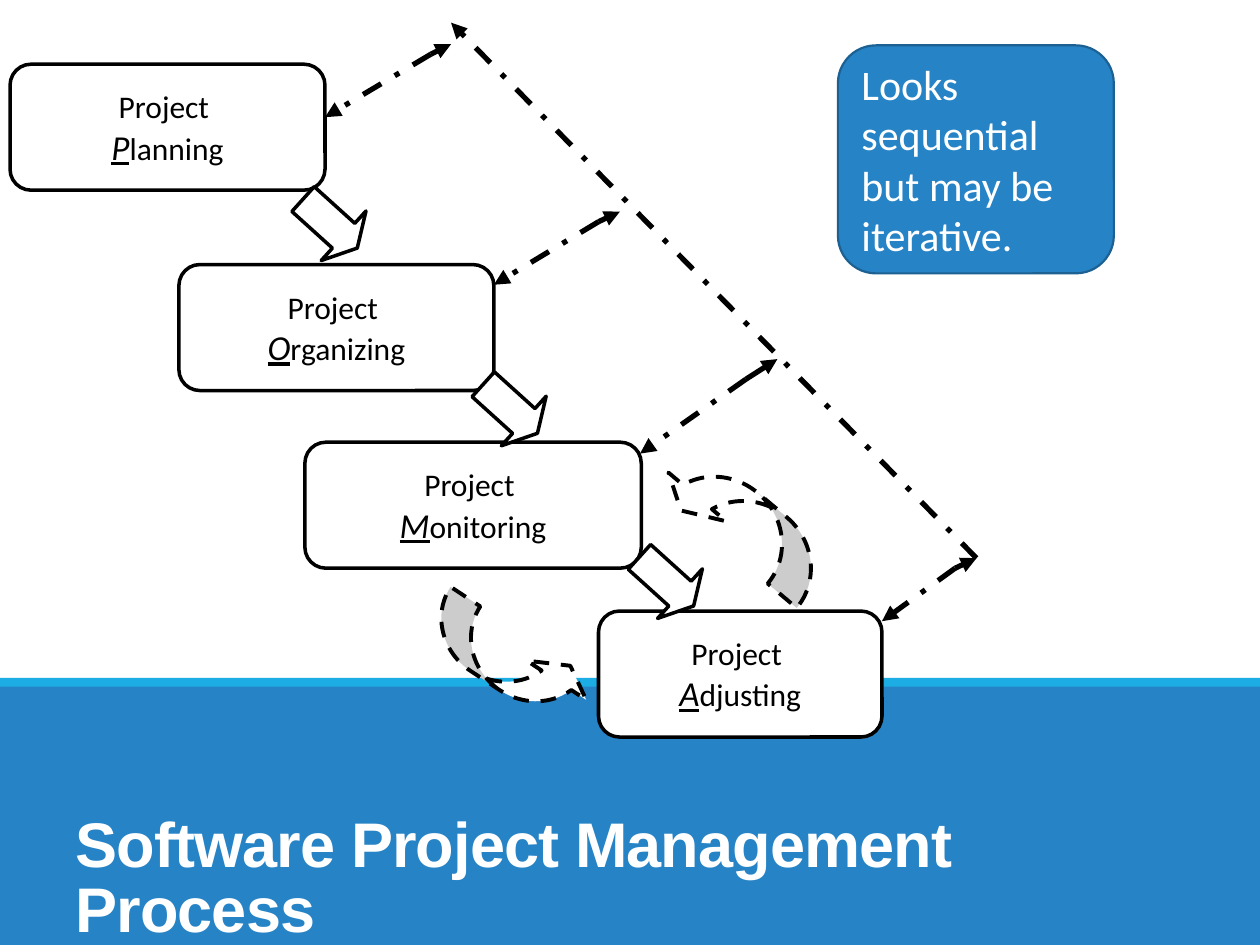
from lxml.etree import SubElement
from pptx import Presentation
from pptx.dml.color import RGBColor
from pptx.enum.dml import MSO_LINE
from pptx.enum.shapes import MSO_CONNECTOR, MSO_SHAPE
from pptx.enum.text import MSO_ANCHOR, PP_ALIGN
from pptx.oxml.ns import qn
from pptx.util import Inches, Pt

BLUE = RGBColor(0x26, 0x83, 0xC6)
DARK_BLUE = RGBColor(0x1C, 0x61, 0x92)
CYAN = RGBColor(0x1C, 0xAD, 0xE4)
BLACK = RGBColor(0, 0, 0)
WHITE = RGBColor(0xFF, 0xFF, 0xFF)

STAGES = [
    ("Planning", 0.08, 0.51, 2.5),
    ("Organizing", 1.42, 2.1, 2.5),
    ("Monitoring", 2.42, 3.51, 2.67),
    ("Adjusting", 4.75, 4.85, 2.25),
]
STEP_ARROWS = [(2.33, 1.51), (3.76, 2.98), (5, 4.35)]
LOOP_ARROWS = [
    ((3.33, 5.01, 1.42, 0.47), 33.4),
    ((5.16, 3.9, 1.5, 0.5), 220.1),
]
FEEDBACK = [
    ((3.42, 0.43), (2.58, 0.93), (3.58, 0.35)),
    ((4.75, 1.76), (3.92, 2.26), (4.92, 1.68)),
    ((5.92, 3.01), (5.08, 3.6), (6.17, 2.85)),
    ((7.58, 4.51), (7, 4.93), (7.75, 4.43)),
]


def add_block(page, kind, position, fill, line=None, width=2):
    """Add a flat preset shape with an optional outline."""
    shape = page.shapes.add_shape(kind, *map(Inches, position))
    shape.shadow.inherit = False
    shape.fill.solid()
    shape.fill.fore_color.rgb = fill
    if line is None:
        shape.line.fill.background()
    else:
        shape.line.color.rgb = line
        shape.line.width = Pt(width)
    return shape


def style_span(span, size, color, font="Calibri"):
    """Set the font, size and colour of a run."""
    span.font.name = font
    span.font.size = Pt(size)
    span.font.color.rgb = color


def add_stage(page, name, left, top, width):
    """Add a process stage whose initial letter is emphasised."""
    box = add_block(page, MSO_SHAPE.ROUNDED_RECTANGLE, (left, top, width, 1), WHITE, BLACK)
    frame = box.text_frame
    frame.word_wrap = False
    frame.vertical_anchor = MSO_ANCHOR.MIDDLE
    frame.text = "Project "
    initial = frame.add_paragraph()
    initial.text = name[0]
    initial.add_run().text = name[1:]
    for paragraph in frame.paragraphs:
        paragraph.alignment = PP_ALIGN.CENTER
        for span in paragraph.runs:
            style_span(span, 18, BLACK)
    letter = initial.runs[0].font
    letter.size = Pt(20)
    letter.italic = True
    letter.underline = True


def add_step_arrow(page, left, top):
    """Add a block arrow leading down to the next stage."""
    arrow = add_block(page, MSO_SHAPE.RIGHT_ARROW, (left, top, 0.58, 0.53), WHITE, BLACK)
    arrow.rotation = 42.1
    arrow.adjustments[1] = 0.275


def add_loop_arrow(page, position, rotation):
    """Add a dashed curved arrow between the last two stages."""
    arrow = add_block(page, MSO_SHAPE.CURVED_UP_ARROW, position, WHITE, BLACK, 2.25)
    arrow.line.dash_style = MSO_LINE.DASH
    arrow.rotation = rotation
    for index, value in enumerate((0.6, 1.2, 0.333)):
        arrow.adjustments[index] = value


def add_arrow_line(page, start, end, dashed=True):
    """Add a straight line with a triangular head at its end."""
    connector = page.shapes.add_connector(MSO_CONNECTOR.STRAIGHT, *map(Inches, start + end))
    connector.line.color.rgb = BLACK
    connector.line.width = Pt(3)
    if dashed:
        connector.line.dash_style = MSO_LINE.DASH_DOT
    properties = connector._element.spPr
    SubElement(properties.find(qn("a:ln")), qn("a:tailEnd"), type="triangle")
    SubElement(properties, qn("a:effectLst"))


def add_title(page):
    """Add the slide title on the blue band."""
    box = page.shapes.add_textbox(*map(Inches, (0.5, 6.24, 7.58, 1.26)))
    frame = box.text_frame
    frame.word_wrap = True
    frame.vertical_anchor = MSO_ANCHOR.BOTTOM
    frame.margin_top = frame.margin_bottom = 0
    frame.text = "Software Project Management Process"
    paragraph = frame.paragraphs[0]
    paragraph.line_spacing = 0.85
    span = paragraph.runs[0]
    style_span(span, 36, WHITE, "Arial")
    span.font.bold = True
    span.font._element.set("spc", "-50")


def add_note(page):
    """Add the remark in the blue rounded box."""
    position = (6.65, 0.36, 2.19, 1.81)
    box = add_block(page, MSO_SHAPE.ROUNDED_RECTANGLE, position, BLUE, DARK_BLUE, 1.25)
    frame = box.text_frame
    frame.word_wrap = True
    frame.vertical_anchor = MSO_ANCHOR.MIDDLE
    frame.text = "Looks sequential but may be iterative."
    paragraph = frame.paragraphs[0]
    paragraph.alignment = PP_ALIGN.LEFT
    style_span(paragraph.runs[0], 24, WHITE)


def main():
    """Build the slide and save the deck."""
    deck = Presentation()
    deck.slide_width, deck.slide_height = Inches(10), Inches(7.5)
    page = deck.slides.add_slide(deck.slide_layouts[6])
    add_block(page, MSO_SHAPE.RECTANGLE, (0, 5.42, 10, 2.08), BLUE)
    add_block(page, MSO_SHAPE.RECTANGLE, (0, 5.38, 10, 0.07), CYAN)
    for stage in STAGES:
        add_stage(page, *stage)
    for position, rotation in LOOP_ARROWS:
        add_loop_arrow(page, position, rotation)
    for left, top in STEP_ARROWS:
        add_step_arrow(page, left, top)
    add_arrow_line(page, (7.75, 4.43), (3.58, 0.18))
    for joint, stage_end, spine_end in FEEDBACK:
        add_arrow_line(page, joint, stage_end)
        add_arrow_line(page, joint, spine_end, dashed=False)
    add_title(page)
    add_note(page)
    deck.save("out.pptx")


if __name__ == "__main__":
    main()
